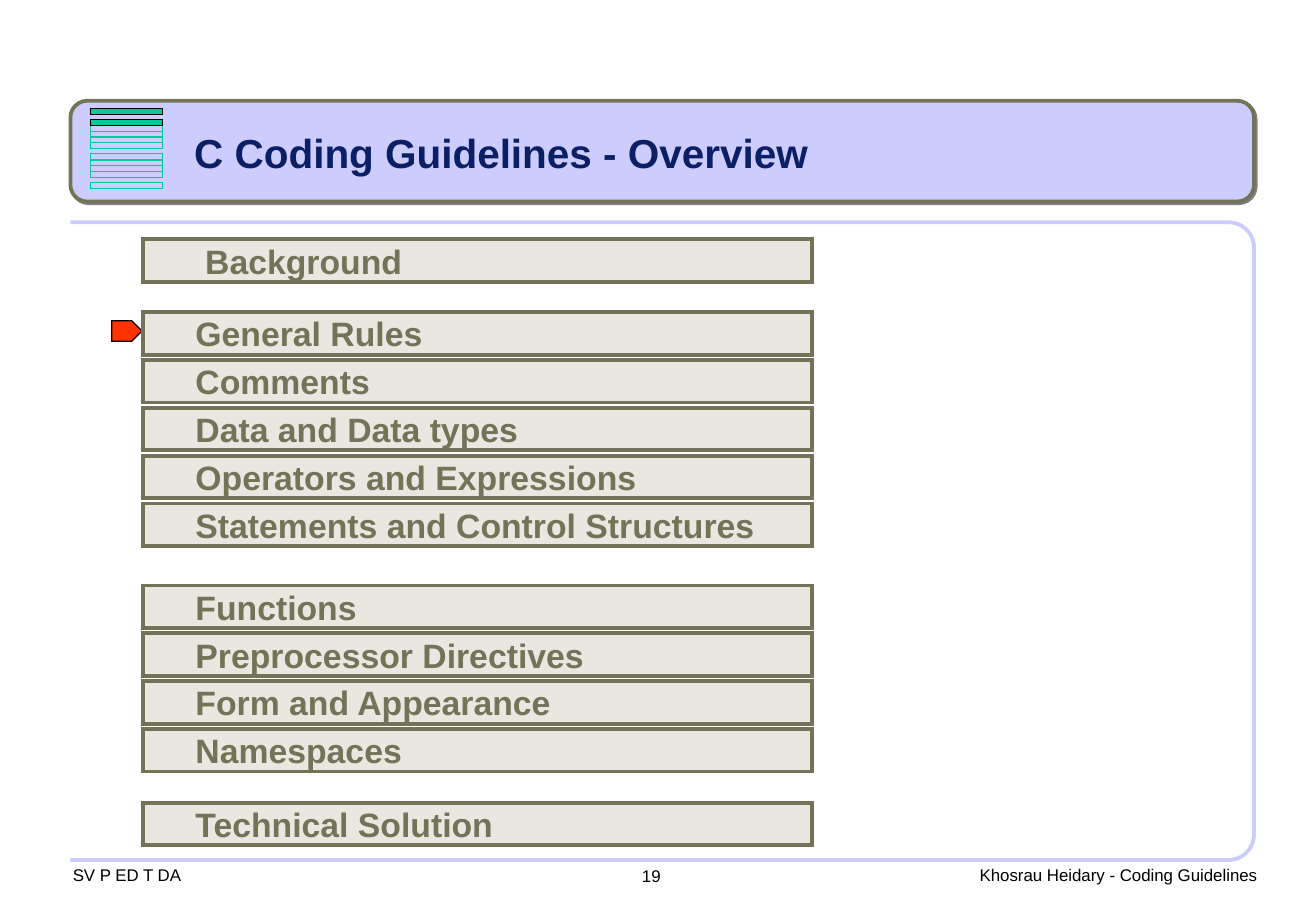
import math
from lxml import etree
from pptx import Presentation
from pptx import util as u
from pptx.dml.color import RGBColor
from pptx.enum import shapes, text
from pptx.oxml.ns import qn

# Content
TITLE = "C Coding Guidelines - Overview"
TOPIC_GROUPS = [  # top of the first row, topics
    (197, ["Background"]),
    (257, ["General Rules", "Comments", "Data and Data types",
           "Operators and Expressions", "Statements and Control Structures"]),
    (482, ["Functions", "Preprocessor Directives", "Form and Appearance",
           "Namespaces"]),
    (661, ["Technical Solution"]),
]
FOOTERS = [  # left, top, width, height, insets, text
    (60, 708, 206, 25, (0, 4, 0, 4), "SV P ED T DA"),
    (807, 708, 249, 25, (0, 4, 0, 4), "Khosrau Heidary - Coding Guidelines"),
    (519, 708, 83, 27, (10, 5, 10, 5), "19"),
]
OUTLINED_STRIPES = [3, 4, 5, 6, 8, 9, 10, 11, 13]
FILLED_STRIPES = [0, 2]

# Style
FONT = "Arial"
OLIVE, ROW_FILL, LAVENDER = "727357", "E8E8E0", "CCCCFF"
GREEN, RED, NAVY, BLACK, GREY = "00CC99", "FF3300", "0A1F64", "000000", "808080"
ROW_LEFT, ROW_W, ROW_H, ROW_PITCH = 118, 551, 35, 39.4
STRIPE_TOP, STRIPE_SPAN, STRIPE_LAST = 89, 61, 13
FRAME_LEFT, FRAME_TOP, FRAME_RIGHT, FRAME_BOTTOM, FRAME_RADIUS = 58, 183, 1033, 708, 21
SCALE = 9144  # EMU per px


def px(n):
    return u.Emu(round(n * SCALE))


def rgb(value):
    return RGBColor.from_string(value)


def paint(sp, fill, line, width):
    sp.shadow.inherit = False
    if fill:
        sp.fill.solid()
        sp.fill.fore_color.rgb = rgb(fill)
    else:
        sp.fill.background()
    sp.line.color.rgb = rgb(line)
    sp.line.width = u.Pt(width)
    etree.SubElement(sp._element.spPr.find(qn("a:ln")), qn("a:miter"), lim="800000")


def add_box(kind, box, fill, line, width):
    sp = s.shapes.add_shape(kind, *map(px, box))
    paint(sp, fill, line, width)
    return sp


def write(sp, words, size, color, bold=False, insets=(10, 5, 0, 5),
          anchor=text.MSO_ANCHOR.TOP):
    tf = sp.text_frame
    tf.auto_size = text.MSO_AUTO_SIZE.NONE
    tf.word_wrap = True
    tf.vertical_anchor = anchor
    tf.margin_left, tf.margin_top, tf.margin_right, tf.margin_bottom = map(px, insets)
    p = tf.paragraphs[0]
    p.text = words
    p.alignment = text.PP_ALIGN.LEFT
    p.font.name, p.font.size, p.font.bold = FONT, u.Pt(size), bold
    p.font.color.rgb = rgb(color)


def add_offset_shadow(sp, color):
    effects = sp._element.spPr.find(qn("a:effectLst"))
    shadow = etree.SubElement(effects, qn("a:outerShdw"), dist="17780", dir="2700000",
                              algn="ctr", rotWithShape="0")
    etree.SubElement(shadow, qn("a:srgbClr"), val=color)


def corner(cx, cy, start):
    """Points of a quarter circle, clockwise from the start angle."""
    angles = [math.radians(start + 7.5 * i) for i in range(13)]
    return [(cx + FRAME_RADIUS * math.cos(a), cy + FRAME_RADIUS * math.sin(a))
            for a in angles]


prs = Presentation()
prs.slide_width, prs.slide_height = px(1084), px(750)
s = prs.slides.add_slide(prs.slide_layouts[5])

# Footer
for left, top, width, height, insets, words in FOOTERS:
    tb = s.shapes.add_textbox(px(left), px(top), px(width), px(height))
    write(tb, words, 10, BLACK, insets=insets)

# Content frame, open on the left
corner_x = FRAME_RIGHT - FRAME_RADIUS
outline = (corner(corner_x, FRAME_TOP + FRAME_RADIUS, -90)
           + corner(corner_x, FRAME_BOTTOM - FRAME_RADIUS, 0)
           + [(FRAME_LEFT, FRAME_BOTTOM)])
fb = s.shapes.build_freeform(px(FRAME_LEFT), px(FRAME_TOP))
fb.add_line_segments([(px(x), px(y)) for x, y in outline], close=False)
paint(fb.convert_to_shape(), None, LAVENDER, 2.25)

# Title banner
banner = add_box(shapes.MSO_SHAPE.ROUNDED_RECTANGLE, (58, 83, 975, 83),
                 LAVENDER, OLIVE, 2.25)
add_offset_shadow(banner, GREY)

# Progress stripes
for slots, fill, line in [(OUTLINED_STRIPES, None, GREEN), (FILLED_STRIPES, GREEN, BLACK)]:
    for slot in slots:
        top = STRIPE_TOP + STRIPE_SPAN * slot / STRIPE_LAST
        add_box(shapes.MSO_SHAPE.RECTANGLE, (74, top, 60, 5), fill, line, 0.25)

# Title, brought in front of the banner
title = s.shapes.title
title.left, title.top, title.width, title.height = map(px, (150, 100, 525, 50))
write(title, TITLE, 24, NAVY, bold=True)
s.shapes._spTree.append(title._element)

# Marker for the current topic
add_box(shapes.MSO_SHAPE.PENTAGON, (92, 264, 25, 17), RED, BLACK, 0.75)

# Topic rows
for group_top, topics in TOPIC_GROUPS:
    for i, topic in enumerate(topics):
        row = add_box(shapes.MSO_SHAPE.RECTANGLE,
                      (ROW_LEFT, group_top + i * ROW_PITCH, ROW_W, ROW_H),
                      ROW_FILL, OLIVE, 2.25)
        indent = 51 if topic == "Background" else 43
        write(row, topic, 20, OLIVE, bold=True, insets=(indent, 12, 20, 12),
              anchor=text.MSO_ANCHOR.MIDDLE)

prs.save("out.pptx")
